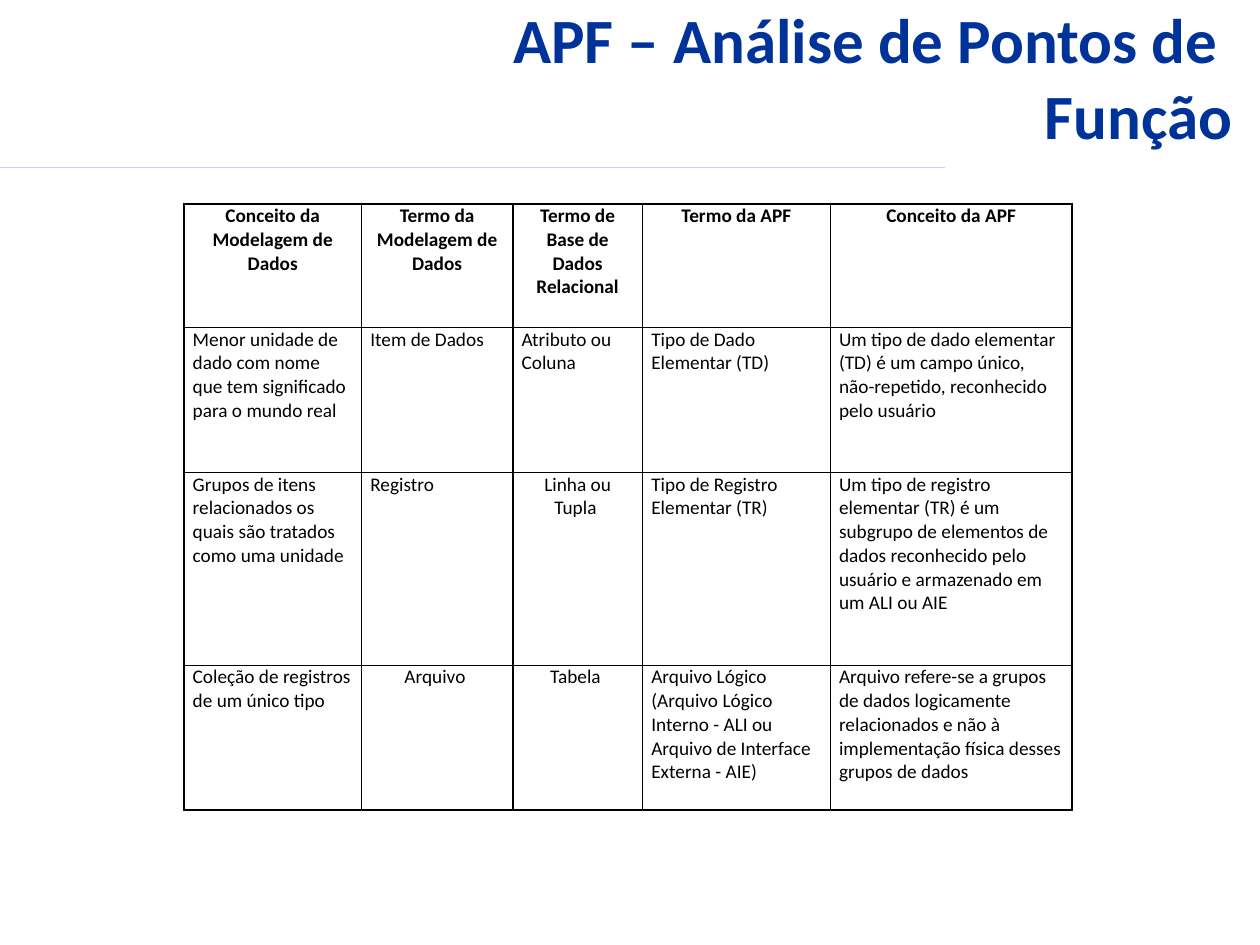
import pptx
import pptx.dml.color
import pptx.enum.text
import pptx.oxml.ns
import pptx.util
from lxml import etree

Inches = pptx.util.Inches
Pt = pptx.util.Pt
Align = pptx.enum.text.PP_ALIGN
Anchor = pptx.enum.text.MSO_ANCHOR
qn = pptx.oxml.ns.qn

COLORS = {"title": "003399", "text": "000000", "border": "000000", "rule": "C4D6EB"}

COLUMN_WIDTHS = [1.41, 1.2, 1.03, 1.49, 1.92]
ROW_HEIGHTS = [0.98, 1.15, 1.53, 1.15]
TERMS = [
    ["Conceito da Modelagem de Dados", "Termo da Modelagem de Dados",
     "Termo de Base de Dados Relacional", "Termo da APF", "Conceito da APF"],
    ["Menor unidade de dado com nome que tem significado para o mundo real",
     "Item de Dados", "Atributo ou Coluna", "Tipo de Dado Elementar (TD)",
     "Um tipo de dado elementar (TD) é um campo único, não-repetido, "
     "reconhecido pelo usuário"],
    ["Grupos de itens relacionados os quais são tratados como uma unidade",
     "Registro", "Linha ou Tupla ", "Tipo de Registro Elementar (TR)",
     "Um tipo de registro elementar (TR) é um subgrupo de elementos de dados "
     "reconhecido pelo usuário e armazenado em um ALI ou AIE"],
    ["Coleção de registros de um único tipo", "Arquivo ", "Tabela ",
     "Arquivo Lógico (Arquivo Lógico Interno - ALI ou Arquivo de Interface "
     "Externa - AIE)",
     "Arquivo refere-se a grupos de dados logicamente relacionados e não à "
     "implementação física desses grupos de dados"],
]
CENTERED_CELLS = {(2, 2), (3, 1), (3, 2)}


class SlideBuilder:
    font_name = "Calibri"

    def __init__(self, page):
        self.page = page

    def color(self, name):
        return pptx.dml.color.RGBColor.from_string(COLORS[name])

    def style(self, para, size, color, bold, align):
        para.alignment = align
        para.font.name = self.font_name
        para.font.size = Pt(size)
        para.font.bold = bold
        para.font.color.rgb = self.color(color)

    def title(self, lines, left, top, width, height):
        box = self.page.shapes.title
        box.left, box.top = Inches(left), Inches(top)
        box.width, box.height = Inches(width), Inches(height)
        frame = box.text_frame
        frame.text = "\n".join(lines)
        frame.word_wrap = True
        frame.auto_size = pptx.enum.text.MSO_AUTO_SIZE.NONE
        frame.vertical_anchor = Anchor.MIDDLE
        for para in frame.paragraphs:
            self.style(para, 36, "title", True, Align.RIGHT)

    def rule(self, left, right, y):
        line = self.page.shapes.add_connector(
            pptx.enum.shapes.MSO_CONNECTOR.STRAIGHT,
            Inches(left), Inches(y), Inches(right), Inches(y))
        line.line.color.rgb = self.color("rule")
        line.line.width = Pt(0.75)
        etree.SubElement(line._element.spPr, qn("a:effectLst"))

    def borders(self, cell):
        properties = cell._tc.get_or_add_tcPr()
        for position, side in enumerate(("a:lnL", "a:lnR", "a:lnT", "a:lnB")):
            edge = etree.Element(qn(side), w=str(Pt(1)))
            fill = etree.SubElement(edge, qn("a:solidFill"))
            etree.SubElement(fill, qn("a:srgbClr"), val=COLORS["border"])
            properties.insert(position, edge)

    def table(self, rows, left, top, widths, heights, centered):
        table = self.page.shapes.add_table(
            len(rows), len(widths), Inches(left), Inches(top),
            Inches(sum(widths)), Inches(sum(heights))).table
        table.first_row = table.horz_banding = False
        for column, width in zip(table.columns, widths):
            column.width = Inches(width)
        for row, height in zip(table.rows, heights):
            row.height = Inches(height)
        for i, texts in enumerate(rows):
            for j, text in enumerate(texts):
                cell = table.cell(i, j)
                cell.text = text
                cell.margin_left = cell.margin_right = Inches(0.07)
                cell.margin_top = cell.margin_bottom = 0
                cell.vertical_anchor = Anchor.TOP
                cell.fill.background()
                self.borders(cell)
                header = i == 0
                align = Align.CENTER if header or (i, j) in centered else Align.LEFT
                self.style(cell.text_frame.paragraphs[0], 11, "text", header, align)


def main():
    deck = pptx.Presentation()
    deck.slide_width, deck.slide_height = Inches(10), Inches(7.5)
    builder = SlideBuilder(deck.slides.add_slide(deck.slide_layouts[5]))
    builder.rule(0, 7.5, 1.33)
    builder.table(TERMS, 1.46, 1.62, COLUMN_WIDTHS, ROW_HEIGHTS, CENTERED_CELLS)
    builder.title(["APF – Análise de Pontos de ", "Função"], 0.63, 0, 9.25, 1.21)
    deck.save("out.pptx")


if __name__ == "__main__":
    main()
